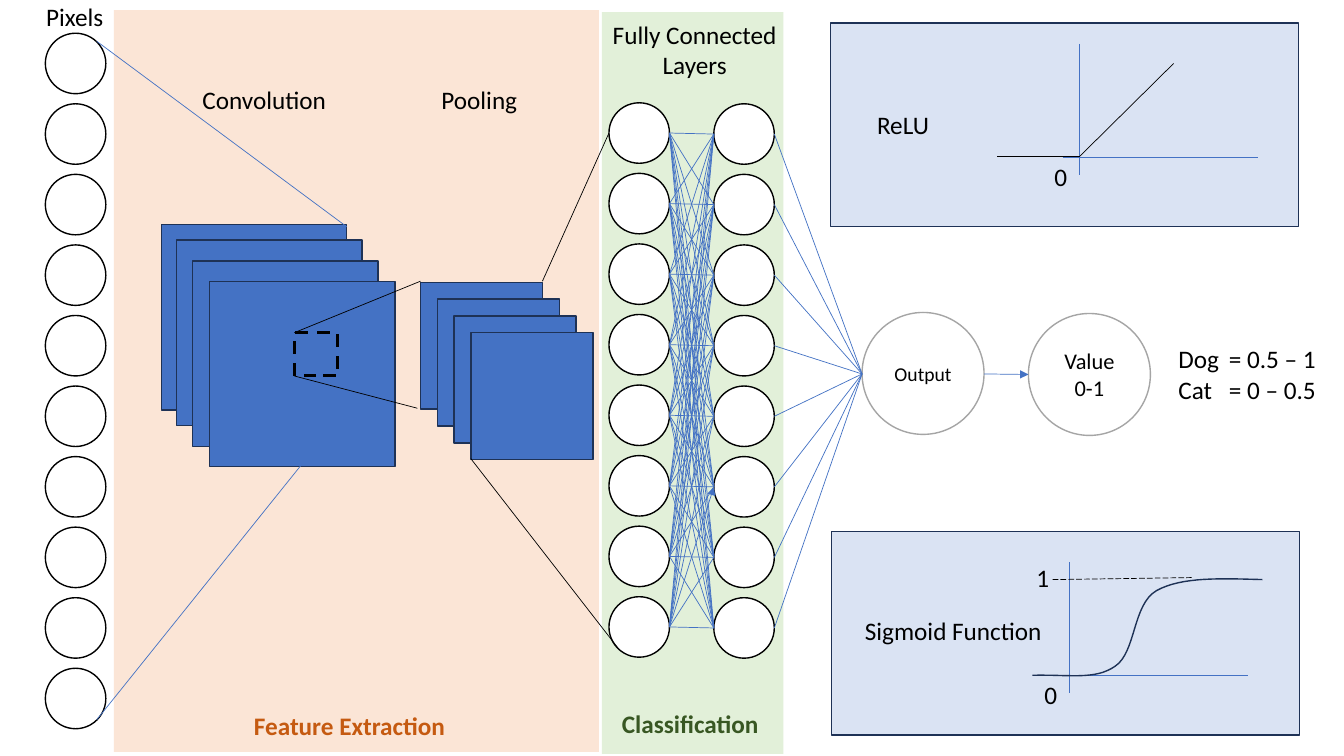
import itertools

import pptx
import pptx.dml.color
import pptx.enum.dml
import pptx.enum.shapes
import pptx.enum.text
import pptx.oxml
import pptx.oxml.ns
import pptx.util

# Grid of 133.3 columns by 75 rows; every length below is a number of cells.
CELL = pptx.util.Inches(0.1)
COLUMNS, ROWS = 133.3, 75
FONT = "Calibri"
COLORS = {
    "black": "000000", "white": "FFFFFF", "blue": "4472C4", "navy": "1E3256",
    "gray": "A5A5A5", "peach": "FBE5D6", "mint": "E2F0D9", "panel": "DAE3F3",
    "orange": "C55A11", "green": "385723",
}
SHAPE = pptx.enum.shapes.MSO_SHAPE
DASH = pptx.enum.dml.MSO_LINE
ALIGN = pptx.enum.text.PP_ALIGN
NEURON, PITCH = 6, 7
HIDDEN_COUNT = 8


def cells(*values):
    return [round(value * CELL) for value in values]


def rgb(name):
    return pptx.dml.color.RGBColor.from_string(COLORS[name])


def style_line(line, color, width, dash=None):
    line.color.rgb = rgb(color)
    line.width = pptx.util.Pt(width)
    if dash:
        line.dash_style = dash


def style_text(frame, size, color, align=None, bold=None):
    for paragraph in frame.paragraphs:
        paragraph.alignment = align
        for run in paragraph.runs:
            run.font.name = FONT
            run.font.size = pptx.util.Pt(size)
            run.font.color.rgb = rgb(color)
            run.font.bold = bold


def add_block(shapes, kind, box, fill=None, line=None, width=1, dash=None):
    block = shapes.add_shape(kind, *cells(*box))
    block.shadow.inherit = False
    if fill:
        block.fill.solid()
        block.fill.fore_color.rgb = rgb(fill)
    else:
        block.fill.background()
    if line:
        style_line(block.line, line, width, dash)
    else:
        block.line.fill.background()
    return block


def add_link(shapes, start, end, color="blue", dash=None, arrow=False):
    link = shapes.add_connector(
        pptx.enum.shapes.MSO_CONNECTOR.STRAIGHT, *cells(*start, *end))
    style_line(link.line, color, 0.5, dash)
    if arrow:
        link.line._get_or_add_ln().append(pptx.oxml.parse_xml(
            f'<a:tailEnd {pptx.oxml.ns.nsdecls("a")} type="triangle"/>'))
    link._element.spPr.append(pptx.oxml.parse_xml(
        f'<a:effectLst {pptx.oxml.ns.nsdecls("a")}/>'))


def add_label(shapes, text, box, color="black", align=ALIGN.LEFT, bold=None, wrap=False):
    label = shapes.add_textbox(*cells(*box))
    frame = label.text_frame
    frame.text = text
    frame.word_wrap = wrap
    frame.auto_size = pptx.enum.text.MSO_AUTO_SIZE.SHAPE_TO_FIT_TEXT
    style_text(frame, 18, color, align, bold)
    return label


def add_result(shapes, text, left, top, size):
    circle = add_block(shapes, SHAPE.OVAL, (left, top, 12.1, 12.1), "white", "gray")
    circle.text_frame.text = text
    circle.text_frame.word_wrap = True
    circle.text_frame.vertical_anchor = pptx.enum.text.MSO_ANCHOR.MIDDLE
    style_text(circle.text_frame, size, "black", ALIGN.CENTER)


def add_neurons(shapes, left, top, count):
    """Draw a column of neurons and return the heights of their centres."""
    tops = [top + PITCH * row for row in range(count)]
    for neuron_top in tops:
        add_block(shapes, SHAPE.OVAL, (left, neuron_top, NEURON, NEURON), "white", "black")
    return [neuron_top + NEURON / 2 for neuron_top in tops]


def add_feature_maps(shapes, corners, width, height):
    for corner in corners:
        add_block(shapes, SHAPE.RECTANGLE, (*corner, width, height), "blue", "navy")


def add_axes(shapes, origin_x, top, base):
    add_link(shapes, (origin_x, top), (origin_x, top + 13))
    add_link(shapes, (origin_x - 1.7, base), (origin_x + 17.7, base))
    add_label(shapes, "0", (origin_x - 3.5, base - 0.1, 3.3, 4))


def bezier(start, first, second, end, steps=16):
    for step in range(1, steps + 1):
        t = step / steps
        weights = ((1 - t) ** 3, 3 * t * (1 - t) ** 2, 3 * t * t * (1 - t), t ** 3)
        yield tuple(sum(w * point[axis] for w, point in zip(weights, (start, first, second, end)))
                    for axis in (0, 1))


def add_sigmoid_curve(shapes):
    knots = [(102.4, 67), (106, 66.9), (108.6, 67.5), (110.6, 66.1), (112.7, 64.7),
             (112.3, 60), (114.7, 58.6), (117.2, 57.2), (121.2, 57.4), (125.2, 57.5)]
    points = itertools.chain.from_iterable(
        bezier(*knots[first:first + 4]) for first in range(0, len(knots) - 1, 3))
    builder = shapes.build_freeform(*cells(*knots[0]))
    builder.add_line_segments([cells(*point) for point in points], close=False)
    curve = builder.convert_to_shape()
    curve.shadow.inherit = False
    curve.fill.background()
    style_line(curve.line, "navy", 1)


def add_activation_panels(shapes):
    add_block(shapes, SHAPE.RECTANGLE, (82.5, 52.7, 46.4, 20.2), "panel", "navy")
    sigmoid = shapes.add_group_shape().shapes
    add_axes(sigmoid, 106.1, 55.8, 67)
    add_link(sigmoid, (104.4, 57.5), (118.2, 57.3), "black", DASH.LONG_DASH)
    add_label(sigmoid, "1", (102.8, 55.3, 0.5, 4), wrap=True)
    add_sigmoid_curve(sigmoid)
    add_label(shapes, "Sigmoid Function", (84.8, 60.6, 19.8, 4))

    add_block(shapes, SHAPE.RECTANGLE, (82.4, 2.3, 46.4, 20.2), "panel", "navy")
    add_label(shapes, "ReLU", (86, 10.4, 7.2, 4))
    relu = shapes.add_group_shape().shapes
    add_axes(relu, 107.1, 4.35, 15.6)
    for end in ((116.4, 6.3), (98.9, 15.5)):
        add_link(relu, (107.1, 15.5), end, "black")


def add_output(shapes):
    add_result(shapes, "Output", 85.5, 31, 14)
    add_result(shapes, "Value 0-1", 102, 31.1, 16)
    add_link(shapes, (97.6, 37.1), (102, 37.15), arrow=True)
    classes = add_label(shapes, "Dog\t= 0.5 – 1\nCat\t= 0 – 0.5", (115.9, 33.6, 16, 7.1))
    for paragraph in classes.text_frame.paragraphs:
        paragraph._p.get_or_add_pPr().append(pptx.oxml.parse_xml(
            f'<a:tabLst {pptx.oxml.ns.nsdecls("a")}>'
            f'<a:tab pos="{5 * CELL}" algn="l"/></a:tabLst>'))


def add_feature_extraction(shapes):
    add_neurons(shapes, 4.5, 3.3, 10)
    add_feature_maps(shapes, [(16, 22.3), (17.5, 23.8), (19.1, 25.9), (20.8, 27.9)], 18.4, 18.4)
    add_feature_maps(shapes, [(41.7 + 1.67 * i, 28 + 1.67 * i) for i in range(4)], 12.1, 12.6)
    add_link(shapes, (9.6, 4.1), (34.4, 22.5))
    add_link(shapes, (34.4, 40.5), (9.6, 71.4))
    add_label(shapes, "Pixels", (3.6, -0.4, 7.7, 4))
    add_label(shapes, "Convolution", (19.1, 7.9, 14.4, 4))
    add_label(shapes, "Pooling", (42.8, 7.9, 9.6, 4))
    add_label(shapes, "Feature Extraction", (24.2, 70, 21.1, 4), "orange", bold=True)


def add_classification(shapes):
    first_layer = add_neurons(shapes, 60.4, 10.2, HIDDEN_COUNT)
    second_layer = add_neurons(shapes, 70.8, 10.3, HIDDEN_COUNT)
    for y in second_layer:
        add_link(shapes, (76.8, y), (85.5, 37.1))
    for (i, start), (j, end) in itertools.product(enumerate(first_layer), enumerate(second_layer)):
        add_link(shapes, (66.4, start), (70.8, end), arrow=(i, j) == (7, 5))
    add_label(shapes, "Fully Connected\nLayers", (59.4, 1.4, 19, 7.1), align=ALIGN.CENTER)
    add_label(shapes, "Classification", (60.7, 69.8, 15.7, 4), "green", bold=True)


def add_pooling_window(shapes):
    add_block(shapes, SHAPE.RECTANGLE, (29.2, 33, 4.3, 4.3), None, "black", 2.25, DASH.DASH)
    for start, end in (((41.7, 27.9), (29.2, 33)), ((41.4, 40.5), (29.2, 37.3)),
                       ((53.8, 27.9), (60.4, 13.2)), ((46.7, 45.5), (61.3, 64.3))):
        add_link(shapes, start, end, "black")


def main():
    presentation = pptx.Presentation()
    presentation.slide_width, presentation.slide_height = cells(COLUMNS, ROWS)
    shapes = presentation.slides.add_slide(presentation.slide_layouts[6]).shapes
    add_block(shapes, SHAPE.RECTANGLE, (59.7, 1.2, 18, 73.6), "mint")
    add_block(shapes, SHAPE.RECTANGLE, (11.3, 1, 48.1, 73.6), "peach")
    add_activation_panels(shapes)
    add_output(shapes)
    add_feature_extraction(shapes)
    add_classification(shapes)
    add_pooling_window(shapes)
    presentation.save("out.pptx")


if __name__ == "__main__":
    main()
